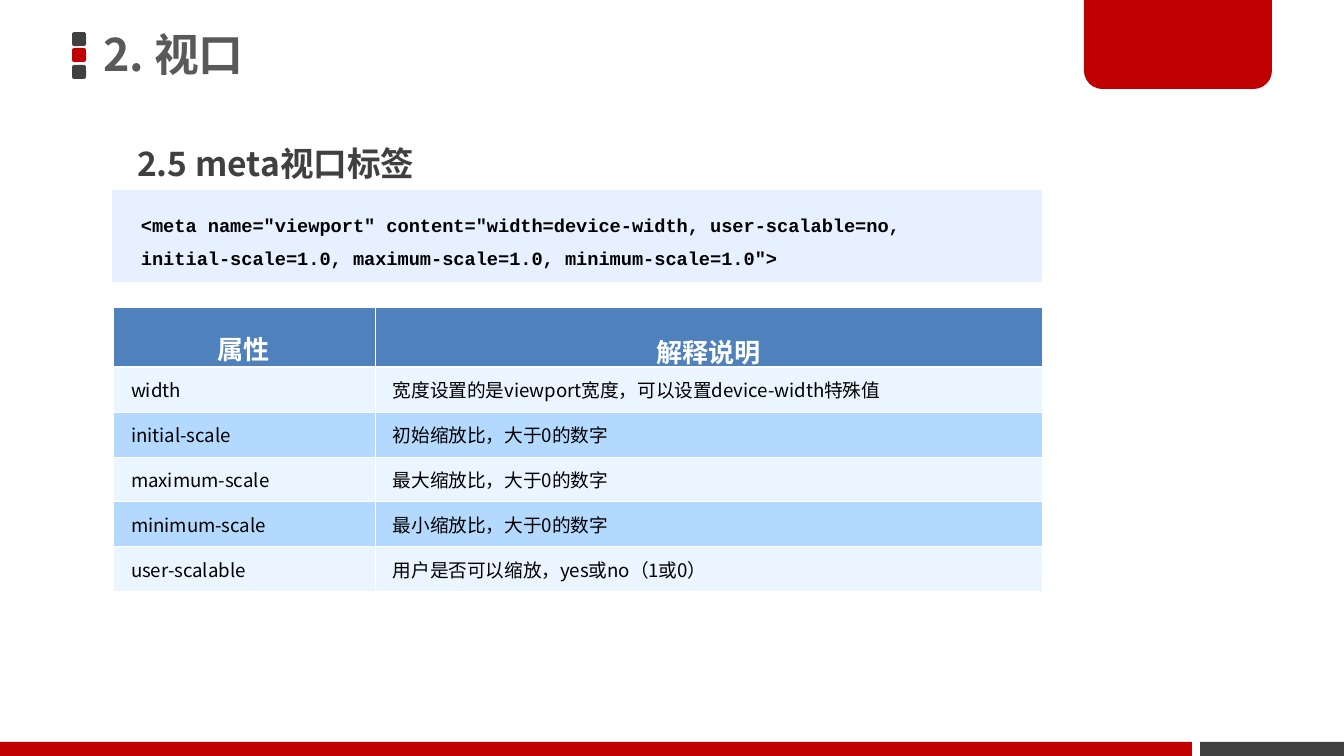
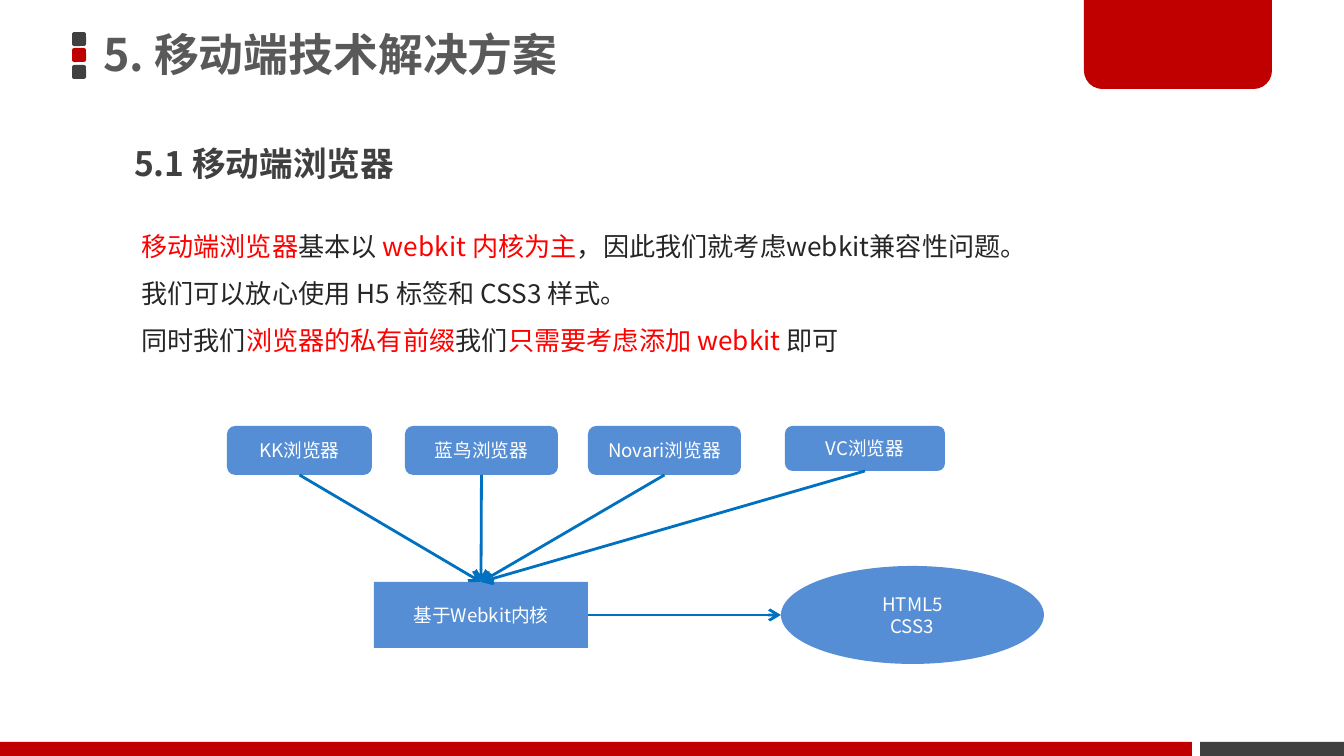
import pptx
import pptx.util
import pptx.dml.color
import pptx.enum.shapes
import pptx.enum.text
import pptx.oxml
import pptx.oxml.ns

PX = 914400 / 134.4
SANS = "Noto Sans CJK SC"
MONO = "Courier New"
COLORS = {
    "red": "C00000", "dark": "404040", "title": "595959", "body": "262626",
    "highlight": "FF0000", "black": "000000", "white": "FFFFFF",
    "code_band": "E6F0FF", "header": "4F81BD", "row_light": "EBF5FF",
    "row_blue": "B3D9FF", "node": "558ED5", "arrow": "0070C0",
}
SHAPES = pptx.enum.shapes.MSO_SHAPE
ALIGN = pptx.enum.text.PP_ALIGN
MIDDLE = pptx.enum.text.MSO_ANCHOR.MIDDLE


def add_run(paragraph, text, size, color, bold=False, font=SANS):
    run = paragraph.add_run()
    run.text = text
    run.font.size = pptx.util.Pt(size)
    run.font.bold = bold
    run.font.color.rgb = pptx.dml.color.RGBColor.from_string(COLORS[color])
    run.font.name = font
    east_asian = pptx.oxml.parse_xml(
        f'<a:ea {pptx.oxml.ns.nsdecls("a")} typeface="{font}"/>')
    run.font._element.find(pptx.oxml.ns.qn("a:latin")).addnext(east_asian)


def add_filled(slide, kind, box, color):
    """Add a borderless preset shape; box is left, top, width, height in px."""
    shape = slide.shapes.add_shape(kind, *[round(n * PX) for n in box])
    shape.shadow.inherit = False
    shape.fill.solid()
    shape.fill.fore_color.rgb = pptx.dml.color.RGBColor.from_string(COLORS[color])
    shape.line.fill.background()
    shape.text_frame.word_wrap = True
    shape.text_frame.vertical_anchor = MIDDLE
    return shape


presentation = pptx.Presentation()
presentation.slide_width = round(1344 * PX)
presentation.slide_height = round(756 * PX)

# Shared frame, title and section heading
slides = []
for title_text, heading_text, heading_left in [
    ("2. 视口", "2.5 meta视口标签", 124),
    ("5. 移动端技术解决方案", "5.1 移动端浏览器", 121),
]:
    slide = presentation.slides.add_slide(presentation.slide_layouts[5])
    slides.append(slide)
    for index, color in enumerate(["dark", "red", "dark"]):
        add_filled(slide, SHAPES.ROUNDED_RECTANGLE,
                   (72, 32 + index * 33 // 2, 14, 14), color)
    add_filled(slide, SHAPES.RECTANGLE, (1200, 742, 144, 14), "dark")
    add_filled(slide, SHAPES.RECTANGLE, (0, 742, 1192, 14), "red")
    corner_tab = add_filled(slide, SHAPES.ROUND_2_SAME_RECTANGLE,
                            (1084, -3, 188, 92), "red")
    corner_tab.adjustments[0] = 0
    corner_tab.adjustments[1] = 0.2

    title = slide.shapes.title
    title.left, title.top, title.width, title.height = [
        round(n * PX) for n in (93, -3, 792, 120)]
    frame = title.text_frame
    frame.auto_size = pptx.enum.text.MSO_AUTO_SIZE.NONE
    frame.vertical_anchor = MIDDLE
    frame.margin_left = frame.margin_right = round(10 * PX)
    frame.margin_top = frame.margin_bottom = round(5 * PX)
    paragraph = frame.paragraphs[0]
    paragraph.alignment = ALIGN.LEFT
    paragraph.line_spacing = 0.9
    add_run(paragraph, title_text, 24, "title", True)

    heading = slide.shapes.add_textbox(
        *[round(n * PX) for n in (heading_left, 116, 516, 74)])
    heading.text_frame.word_wrap = True
    paragraph = heading.text_frame.paragraphs[0]
    paragraph.line_spacing = 1.5
    add_run(paragraph, heading_text, 18, "dark", True)

viewport_slide, browser_slide = slides

# Viewport tag: code band
code_band = add_filled(viewport_slide, SHAPES.RECTANGLE, (112, 190, 930, 92), "code_band")
code_band.text_frame.margin_left = round(29 * PX)
paragraph = code_band.text_frame.paragraphs[0]
paragraph.alignment = ALIGN.LEFT
paragraph.line_spacing = 1.5
add_run(paragraph, '<meta name="viewport" content="width=device-width, user-scalable=no,',
        10, "black", True, MONO)
paragraph.add_line_break()
add_run(paragraph, 'initial-scale=1.0, maximum-scale=1.0, minimum-scale=1.0">',
        10, "black", True, MONO)

# Viewport tag: attribute table
ATTRIBUTES = [
    ("属性", "解释说明"),
    ("width", "宽度设置的是viewport宽度，可以设置device-width特殊值"),
    ("initial-scale", "初始缩放比，大于0的数字"),
    ("maximum-scale", "最大缩放比，大于0的数字"),
    ("minimum-scale", "最小缩放比，大于0的数字"),
    ("user-scalable", "用户是否可以缩放，yes或no（1或0）"),
]
table = viewport_slide.shapes.add_table(
    len(ATTRIBUTES), 2, *[round(n * PX) for n in (113, 307, 929, 285)]).table
for column, width in zip(table.columns, (262, 667)):
    column.width = round(width * PX)
for row_index, texts in enumerate(ATTRIBUTES):
    is_header = row_index == 0
    table.rows[row_index].height = round((60 if is_header else 45) * PX)
    fill = "header" if is_header else ("row_blue", "row_light")[row_index % 2]
    for column_index, text in enumerate(texts):
        cell = table.cell(row_index, column_index)
        cell.vertical_anchor = MIDDLE
        cell.fill.solid()
        cell.fill.fore_color.rgb = pptx.dml.color.RGBColor.from_string(COLORS[fill])
        paragraph = cell.text_frame.paragraphs[0]
        if is_header:
            cell.margin_left = cell.margin_right = cell.margin_bottom = 0
            cell.margin_top = round(6 * PX)
            paragraph.alignment = ALIGN.CENTER
            paragraph.line_spacing = (1.4, 1.5)[column_index]
            paragraph.space_before = pptx.util.Pt(3.5)
            add_run(paragraph, text, 14, "white", True)
        else:
            cell.margin_left = cell.margin_right = round(18 * PX)
            add_run(paragraph, text, 10, "black")
        for order, side in enumerate(["lnL", "lnR", "lnT", "lnB"]):
            is_thick = (row_index, side) in [(0, "lnB"), (1, "lnT")]
            width = pptx.util.Pt(1.5 if is_thick else 0.45)
            border = pptx.oxml.parse_xml(
                f'<a:{side} {pptx.oxml.ns.nsdecls("a")} w="{width}"><a:solidFill>'
                f'<a:srgbClr val="{COLORS["white"]}"/></a:solidFill></a:{side}>')
            cell._tc.get_or_add_tcPr().insert(order, border)

# Mobile browsers: body text
BODY = [
    [("移动端浏览器", "highlight"), ("基本以 ", "body"), ("webkit 内核为主", "highlight"),
     ("，因此我们就考虑webkit兼容性问题。", "body")],
    [("我们可以放心使用 H5 标签和 CSS3 样式。", "body")],
    [("同时我们", "body"), ("浏览器的私有前缀", "highlight"), ("我们", "body"),
     ("只需要考虑添加 webkit ", "highlight"), ("即可", "body")],
]
body = browser_slide.shapes.add_textbox(*[round(n * PX) for n in (128, 208, 1051, 155)])
frame = body.text_frame
frame.word_wrap = True
for index, runs in enumerate(BODY):
    paragraph = frame.paragraphs[0] if index == 0 else frame.add_paragraph()
    paragraph.line_spacing = 1.5
    for text, color in runs:
        add_run(paragraph, text, 14, color)

# Mobile browsers: diagram
NODES = [
    (SHAPES.ROUNDED_RECTANGLE, (227, 426, 145, 49), ["KK浏览器"]),
    (SHAPES.ROUNDED_RECTANGLE, (405, 426, 153, 49), ["蓝鸟浏览器"]),
    (SHAPES.ROUNDED_RECTANGLE, (588, 426, 153, 49), ["Novari浏览器"]),
    (SHAPES.ROUNDED_RECTANGLE, (785, 426, 160, 45), ["VC浏览器"]),
    (SHAPES.RECTANGLE, (374, 582, 214, 66), ["基于Webkit内核"]),
    (SHAPES.OVAL, (781, 566, 263, 98), ["HTML5", "CSS3"]),
]
nodes = []
for kind, box, lines in NODES:
    node = add_filled(browser_slide, kind, box, "node")
    nodes.append(node)
    frame = node.text_frame
    for index, line in enumerate(lines):
        paragraph = frame.paragraphs[0] if index == 0 else frame.add_paragraph()
        paragraph.alignment = ALIGN.CENTER
        add_run(paragraph, line, 10, "white")

*browsers, kernel, standards = nodes
# Connection sites: box top 0, bottom 2, right 3; oval left 2
links = [(browser, 2, kernel, 0) for browser in browsers] + [(kernel, 3, standards, 2)]
for source, source_site, target, target_site in links:
    arrow = browser_slide.shapes.add_connector(
        pptx.enum.shapes.MSO_CONNECTOR.STRAIGHT, 0, 0, 0, 0)
    arrow.begin_connect(source, source_site)
    arrow.end_connect(target, target_site)
    if target is standards:
        arrow.end_x = target.left
        arrow.end_y = target.top + target.height // 2
    arrow.line.width = pptx.util.Pt(1.5)
    arrow.line.color.rgb = pptx.dml.color.RGBColor.from_string(COLORS["arrow"])
    namespace = pptx.oxml.ns.nsdecls("a")
    arrow.line._get_or_add_ln().append(
        pptx.oxml.parse_xml(f'<a:tailEnd {namespace} type="arrow"/>'))
    arrow._element.spPr.append(pptx.oxml.parse_xml(f"<a:effectLst {namespace}/>"))

presentation.save("out.pptx")
